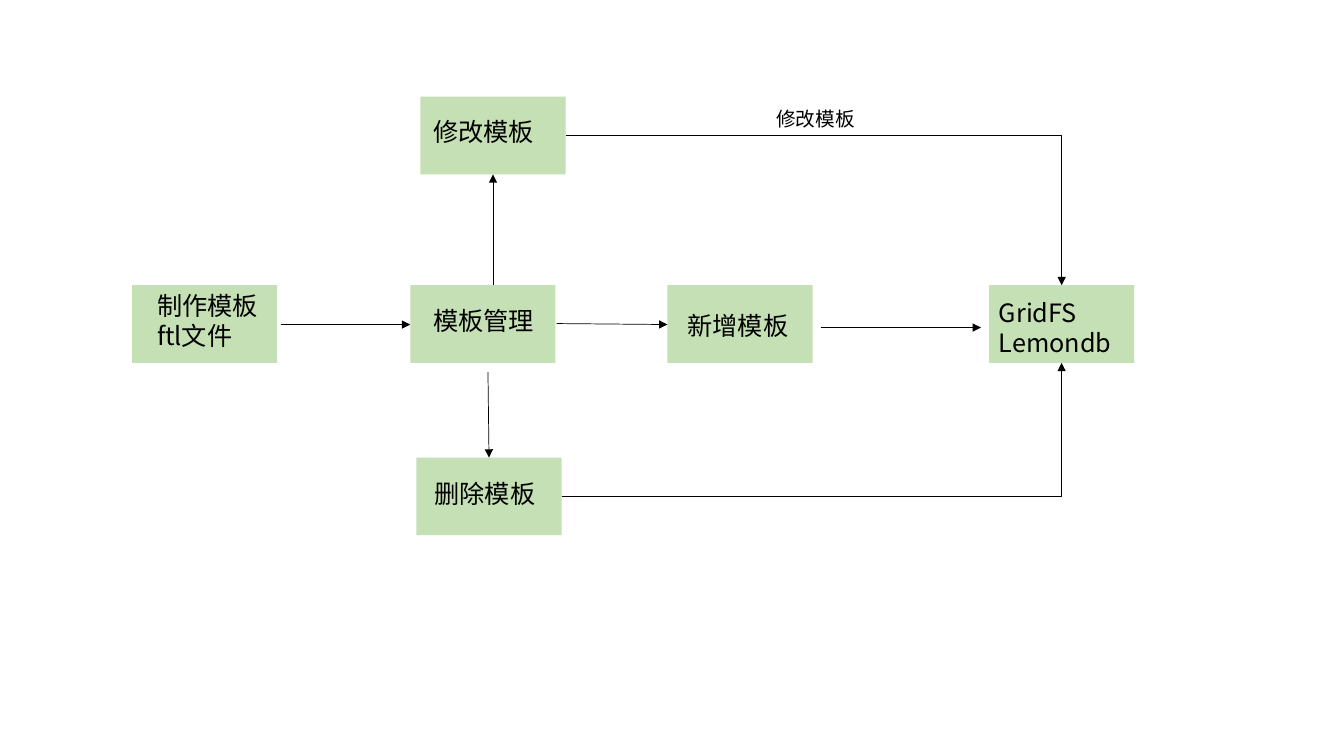
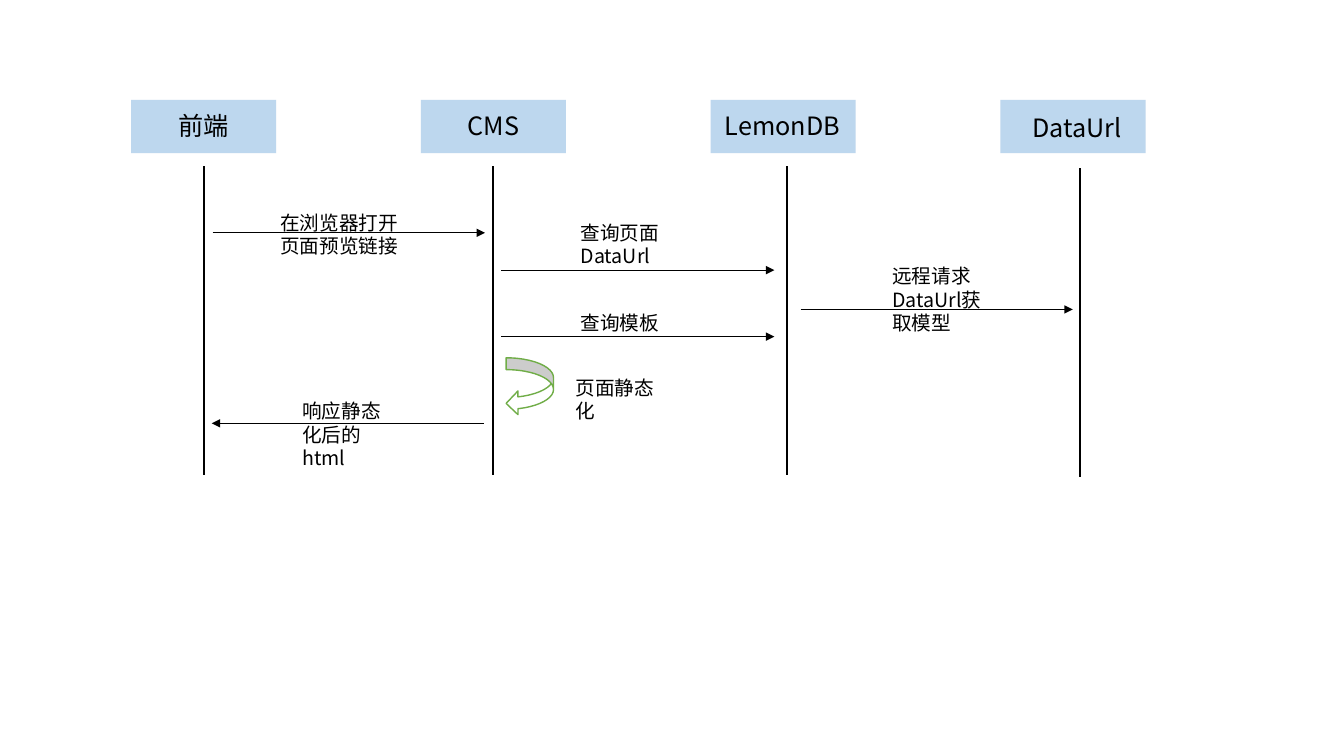
import pptx
import pptx.util
import pptx.dml.color
import pptx.enum.shapes
import pptx.enum.text
import pptx.oxml.ns
import lxml.etree
from dataclasses import dataclass

Inches = pptx.util.Inches
Shapes = pptx.enum.shapes.MSO_SHAPE
Links = pptx.enum.shapes.MSO_CONNECTOR
qn = pptx.oxml.ns.qn


@dataclass
class Theme:
    font: str = "Noto Sans CJK SC"
    ink: str = "000000"
    green: str = "C5E0B4"
    blue: str = "BDD7EE"
    white: str = "FFFFFF"
    leaf: str = "70AD47"
    head: int = 18
    note: int = 14
    thin: float = 0.5
    edge: float = 1
    thick: float = 1.5


def color(code):
    return pptx.dml.color.RGBColor.from_string(code)


class Deck:
    def __init__(self, theme):
        self.theme = theme
        self.file = pptx.Presentation()
        self.file.slide_width = Inches(13.33)
        self.file.slide_height = Inches(7.5)
        self.slide = None

    def page(self):
        self.slide = self.file.slides.add_slide(self.file.slide_layouts[6])

    def shape(self, kind, left, top, width, height, fill, line=None):
        item = self.slide.shapes.add_shape(
            kind, Inches(left), Inches(top), Inches(width), Inches(height))
        item.shadow.inherit = False
        item.fill.solid()
        item.fill.fore_color.rgb = color(fill)
        if line:
            item.line.color.rgb = color(line)
            item.line.width = pptx.util.Pt(self.theme.edge)
        else:
            item.line.fill.background()
        return item

    def text(self, words, left, top, width, height, size):
        box = self.slide.shapes.add_textbox(
            Inches(left), Inches(top), Inches(width), Inches(height))
        frame = box.text_frame
        frame.word_wrap = True
        frame.auto_size = pptx.enum.text.MSO_AUTO_SIZE.SHAPE_TO_FIT_TEXT
        frame.text = words
        style = {"name": self.theme.font, "size": pptx.util.Pt(size)}
        for para in frame.paragraphs:
            for run in para.runs:
                for key, value in style.items():
                    setattr(run.font, key, value)
                run.font.color.rgb = color(self.theme.ink)
                east = lxml.etree.SubElement(run._r.get_or_add_rPr(), qn("a:ea"))
                east.set("typeface", self.theme.font)

    def line(self, start, end, width, kind=Links.STRAIGHT):
        link = self.slide.shapes.add_connector(
            kind, *[Inches(n) for n in (*start, *end)])
        link.line.color.rgb = color(self.theme.ink)
        link.line.width = pptx.util.Pt(width)
        lxml.etree.SubElement(link._element.spPr, qn("a:effectLst"))
        return link

    def arrow(self, start, end, kind=Links.STRAIGHT):
        link = self.line(start, end, self.theme.thin, kind)
        tail = lxml.etree.SubElement(link.line._get_or_add_ln(), qn("a:tailEnd"))
        tail.set("type", "triangle")
        return link

    def bend(self, first, last, side):
        # One corner: leave the right side, enter the given side
        link = self.arrow((0, 0), (1, 1), Links.ELBOW)
        link.begin_connect(first, 3)
        link.end_connect(last, side)
        link._element.spPr.find(qn("a:prstGeom")).set("prst", "bentConnector2")


theme = Theme()
deck = Deck(theme)
wide = 1.44

# Slide 1: template management flow
deck.page()
tall, row = 0.77, 2.83
nodes = {  # box corner, words, text frame
    "edit": (4.17, 0.96, "修改模板", (4.2, 1.11, 1.36, 0.4)),
    "add": (6.62, row, "新增模板", (6.72, 3.03, 1.61, 0.4)),
    "store": (9.81, row, "GridFS\nLemondb", (9.81, 2.9, wide, 0.71)),
    "drop": (4.13, 4.54, "删除模板", (4.21, 4.7, 1.35, 0.4)),
    "make": (1.31, row, "制作模板ftl文件", (1.46, row, 1.2, 1.01)),
    "manage": (4.07, row, "模板管理", (4.2, 2.98, 1.27, 0.71)),
}
boxes = {}
for name, (left, top, words, area) in nodes.items():
    boxes[name] = deck.shape(Shapes.RECTANGLE, left, top, wide, tall, theme.green)
    deck.text(words, *area, theme.head)

for start, end in (
    ((2.79, 3.22), (4.07, 3.22)),
    ((5.52, 3.21), (6.62, 3.22)),
    ((8.14, 3.25), (9.73, 3.25)),
    ((4.89, row), (4.89, 1.73)),
    ((4.84, 3.69), (4.85, 4.54)),
):
    deck.arrow(start, end)
deck.bend(boxes["edit"], boxes["store"], 0)
deck.bend(boxes["drop"], boxes["store"], 2)
deck.text("修改模板", 7.6, 1.01, 1.66, 0.34, theme.note)

# Slide 2: page preview sequence
deck.page()
actors = (  # words, text left, text top, text width, lifeline x, lifeline top
    ("前端", 1.67, 1.05, 1.07, 2.02, 1.65),
    ("CMS", 4.54, 1.05, 1.11, 4.89, 1.65),
    ("LemonDB", 7.09, 1.05, wide, 7.81, 1.65),
    ("DataUrl", 10.14, 1.07, wide, 10.71, 1.67),
)
for i, (words, left, top, width, x, y) in enumerate(actors):
    deck.shape(Shapes.RECTANGLE, 1.3 + 2.874 * i, 0.99, wide, 0.53, theme.blue)
    deck.text(words, left, top, width, 0.4, theme.head)
    deck.line((x, y), (x, y + 3.06), theme.thick)

# Messages between lifelines
for x, y, end in (
    (2.11, 2.31, 4.81),
    (4.97, 2.68, 7.68),
    (4.97, 3.34, 7.68),
    (7.94, 3.07, 10.64),
    (4.8, 4.2, 2.1),
):
    deck.arrow((x, y), (end, y))
deck.shape(Shapes.CURVED_LEFT_ARROW, 5.02, 3.55, 0.47, 0.57, theme.white, theme.leaf)

for words, *area in (
    ("在浏览器打开\n页面预览链接", 2.68, 2.04, 1.65, 0.57),
    ("查询页面\nDataUrl", 5.66, 2.14, 1.61, 0.57),
    ("查询模板", 5.66, 3.04, 1.22, 0.34),
    ("页面静态化", 5.61, 3.68, 1.17, 0.57),
    ("远程请求DataUrl获取模型", 8.75, 2.57, 1.15, 0.81),
    ("响应静态化后的html", 2.9, 3.91, 1.17, 0.57),
):
    deck.text(words, *area, theme.note)

deck.file.save("out.pptx")
